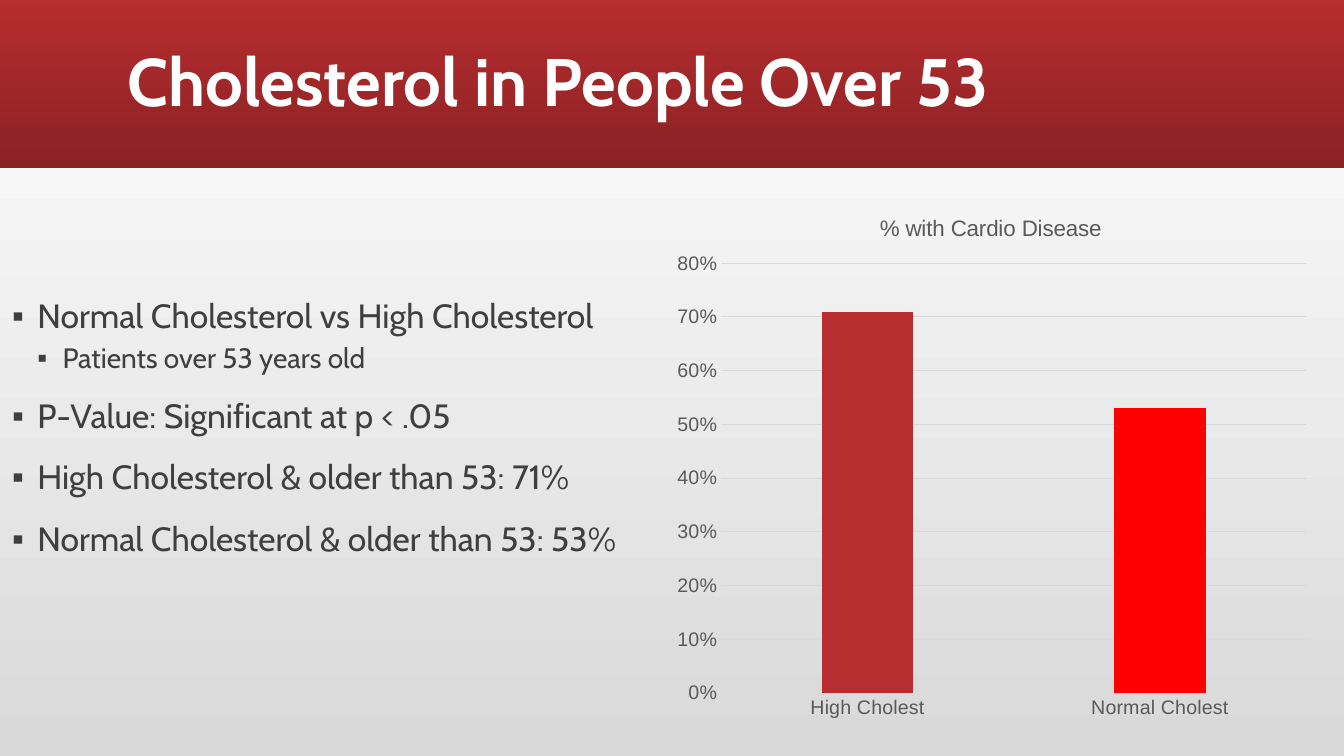
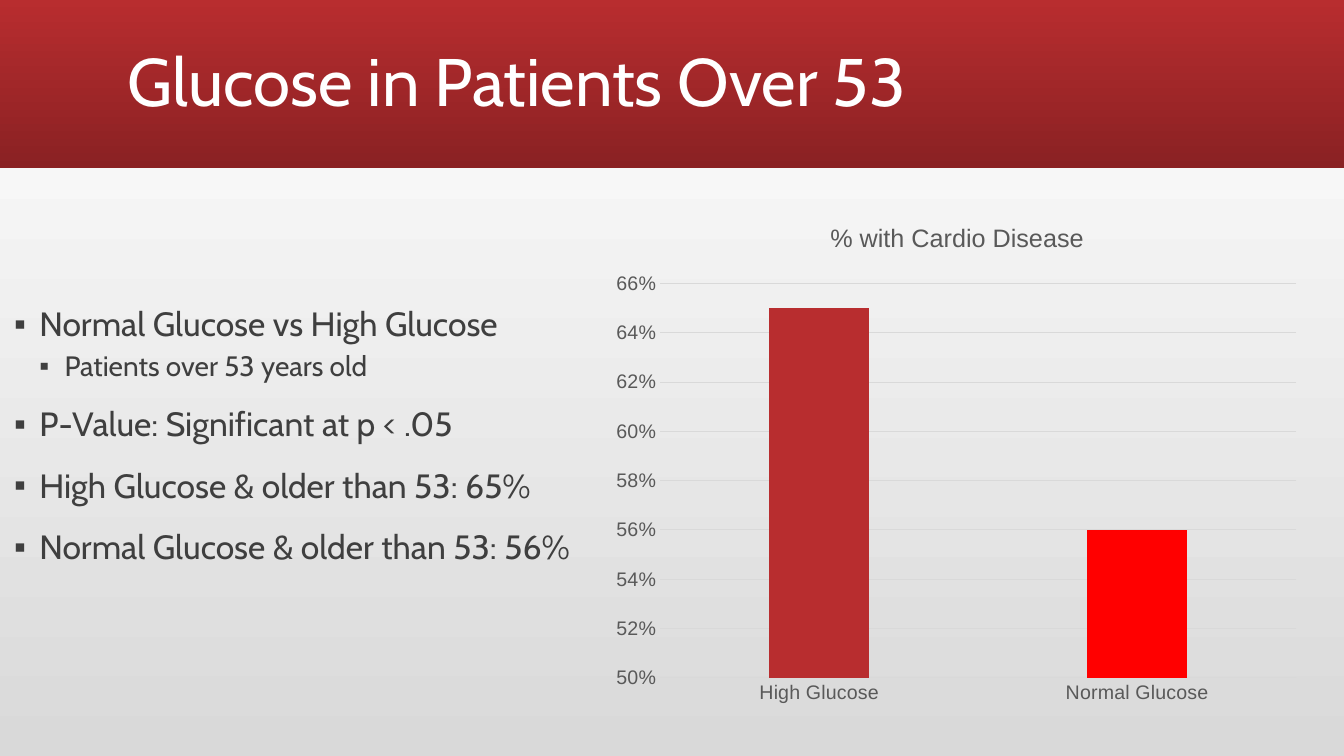
from lxml import etree
from pptx import Presentation
from pptx.chart.data import CategoryChartData
from pptx.dml.color import RGBColor
from pptx.enum import chart as charts, shapes, text
from pptx.oxml import ns, parse_xml
from pptx.util import Pt

COLORS = {
    "band_top": "B82D2F", "band_bottom": "8A2123",
    "page_bottom": "D9D9D9", "page_top": "FFFFFF",
    "title": "FFFFFF", "body": "3F3F3F", "axis": "595959", "grid": "D9D9D9",
    "high": "B82D2F", "normal": "FF0000",
}
BODY_FONT, CHART_FONT = "Cabin", "Arial"
CHART_TITLE = "% with Cardio Disease"
WIDTH, HEIGHT, BAND_HEIGHT = 960, 540, 120
TITLE_BOX = (84, 8, 792, 104.4)
LEVELS = [{"size": 24, "before": 18}, {"size": 20, "before": 6}]
INDENT = 18

# Boxes are left, top, width, height in points; "plot" is in fractions of the chart.
PAGES = [
    {
        "title": "Cholesterol in People Over 53", "bold": True,
        "body_box": (1.5, 210.2, 471.5, 264),
        "bullets": [
            (0, "Normal Cholesterol vs High Cholesterol"),
            (1, "Patients over 53 years old"),
            (0, "P-Value: Significant at p < .05"),
            (0, "High Cholesterol & older than 53: 71%"),
            (0, "Normal Cholesterol & older than 53: 53%"),
        ],
        "chart_box": (473, 138.2, 469.4, 383.8), "plot": (0.09, 0.13, 0.89, 0.8),
        "values": {"High Cholest": 0.71, "Normal Cholest": 0.53},
        "scale": (0, 0.8, 0.1), "chart_title_size": 16,
    },
    {
        "title": "Glucose in Patients Over 53", "bold": False,
        "body_box": (2.9, 216, 428.4, 264),
        "bullets": [
            (0, "Normal Glucose vs High Glucose"),
            (1, "Patients over 53 years old"),
            (0, "P-Value: Significant at p < .05"),
            (0, "High Glucose & older than 53: 65%"),
            (0, "Normal Glucose & older than 53: 56%"),
        ],
        "chart_box": (431.3, 144, 504.7, 365.8), "plot": (0.08, 0.16, 0.9, 0.77),
        "values": {"High Glucose": 0.65, "Normal Glucose": 0.56},
        "scale": (0.5, 0.66, 0.02), "chart_title_size": 18,
    },
]


def rgb(name):
    return RGBColor.from_string(COLORS[name])


def points(box):
    return [Pt(length) for length in box]


def place(shape, box):
    shape.left, shape.top, shape.width, shape.height = points(box)


def style_font(font, name, size, color, bold=False):
    font.name, font.size, font.bold = name, Pt(size), bold
    font.color.rgb = rgb(color)


def fill_gradient(fill, angle, start, end):
    fill.gradient()
    fill.gradient_angle = angle
    for stop, color in zip(fill.gradient_stops, (start, end)):
        stop.color.rgb = rgb(color)


def add_band(page, layout):
    """Draw the title band and move it to the layout, so that all pages share it."""
    band = page.shapes.add_shape(shapes.MSO_SHAPE.RECTANGLE,
                                 *points((0, 0, WIDTH, BAND_HEIGHT)))
    band.shadow.inherit = False
    band.line.fill.background()
    fill_gradient(band.fill, 270, "band_top", "band_bottom")
    layout.shapes.element.insert(2, band.element)


def set_title(title, content):
    place(title, TITLE_BOX)
    frame = title.text_frame
    frame.text = content["title"]
    frame.auto_size = text.MSO_AUTO_SIZE.NONE
    frame.vertical_anchor = text.MSO_ANCHOR.MIDDLE
    para = frame.paragraphs[0]
    para.alignment = text.PP_ALIGN.LEFT
    para.line_spacing = 0.9
    style_font(para.runs[0].font, BODY_FONT, 48, "title", content["bold"])


def set_bullet(para, level):
    props = para._p.get_or_add_pPr()
    props.set("marL", str(Pt(INDENT * (level + 1))))
    props.set("indent", str(-Pt(INDENT)))
    color = etree.SubElement(props, ns.qn("a:buClr"))
    etree.SubElement(color, ns.qn("a:srgbClr"), val=COLORS["body"])
    etree.SubElement(props, ns.qn("a:buFont"), typeface=CHART_FONT)
    etree.SubElement(props, ns.qn("a:buChar"), char="▪")


def set_body(body, content):
    place(body, content["body_box"])
    frame = body.text_frame
    frame.text = "\n".join(line for _, line in content["bullets"])
    frame.auto_size = text.MSO_AUTO_SIZE.NONE
    frame.vertical_anchor = text.MSO_ANCHOR.TOP
    for index, (para, (level, _)) in enumerate(zip(frame.paragraphs, content["bullets"])):
        para.level = level
        para.line_spacing = 0.9
        para.space_before = Pt(LEVELS[level]["before"] if index else 0)
        set_bullet(para, level)
        style_font(para.runs[0].font, BODY_FONT, LEVELS[level]["size"], "body")


def set_plot_layout(chart, fractions):
    """Fix the inner plot area, which leaves room for the title and labels."""
    plot_area = chart.element.find(".//" + ns.qn("c:plotArea"))
    for old in plot_area.findall(ns.qn("c:layout")):
        plot_area.remove(old)
    sizes = "".join(f'<c:{tag} val="{value}"/>' for tag, value in zip("xywh", fractions))
    plot_area.insert(0, parse_xml(
        f'<c:layout {ns.nsdecls("c")}><c:manualLayout><c:layoutTarget val="inner"/>'
        f'<c:xMode val="edge"/><c:yMode val="edge"/>{sizes}</c:manualLayout></c:layout>'))


def add_column_chart(page, content):
    data = CategoryChartData(number_format="0%")
    data.categories = list(content["values"])
    data.add_series("Series 1", list(content["values"].values()))
    chart = page.shapes.add_chart(charts.XL_CHART_TYPE.COLUMN_CLUSTERED,
                                  *points(content["chart_box"]), data).chart
    chart.has_legend = False
    style_font(chart.font, CHART_FONT, 14, "axis")
    chart.has_title = True
    chart.chart_title.include_in_layout = False
    title = chart.chart_title.text_frame
    title.text = CHART_TITLE
    style_font(title.paragraphs[0].runs[0].font, CHART_FONT,
               content["chart_title_size"], "axis")
    set_plot_layout(chart, content["plot"])

    plot = chart.plots[0]
    plot.gap_width, plot.overlap, plot.vary_by_categories = 219, -27, False
    series = plot.series[0]
    for index, color in enumerate(("high", "normal")):
        fill = series.points[index].format.fill
        fill.solid()
        fill.fore_color.rgb = rgb(color)

    values = chart.value_axis
    values.minimum_scale, values.maximum_scale, values.major_unit = content["scale"]
    values.tick_labels.number_format = "0%"
    values.tick_labels.number_format_is_linked = False
    values.format.line.fill.background()
    for axis in (chart.category_axis, values):
        axis.major_tick_mark = axis.minor_tick_mark = charts.XL_TICK_MARK.NONE
    for line in (chart.category_axis.format.line, values.major_gridlines.format.line):
        line.color.rgb = rgb("grid")
        line.width = Pt(0.75)


def main():
    deck = Presentation()
    deck.slide_width, deck.slide_height = Pt(WIDTH), Pt(HEIGHT)
    fill_gradient(deck.slide_master.background.fill, 90, "page_bottom", "page_top")
    layout = deck.slide_layouts[1]
    for index, content in enumerate(PAGES):
        page = deck.slides.add_slide(layout)
        if index == 0:
            add_band(page, layout)
        set_title(page.shapes.title, content)
        set_body(page.placeholders[1], content)
        add_column_chart(page, content)
    deck.save("out.pptx")


if __name__ == "__main__":
    main()
